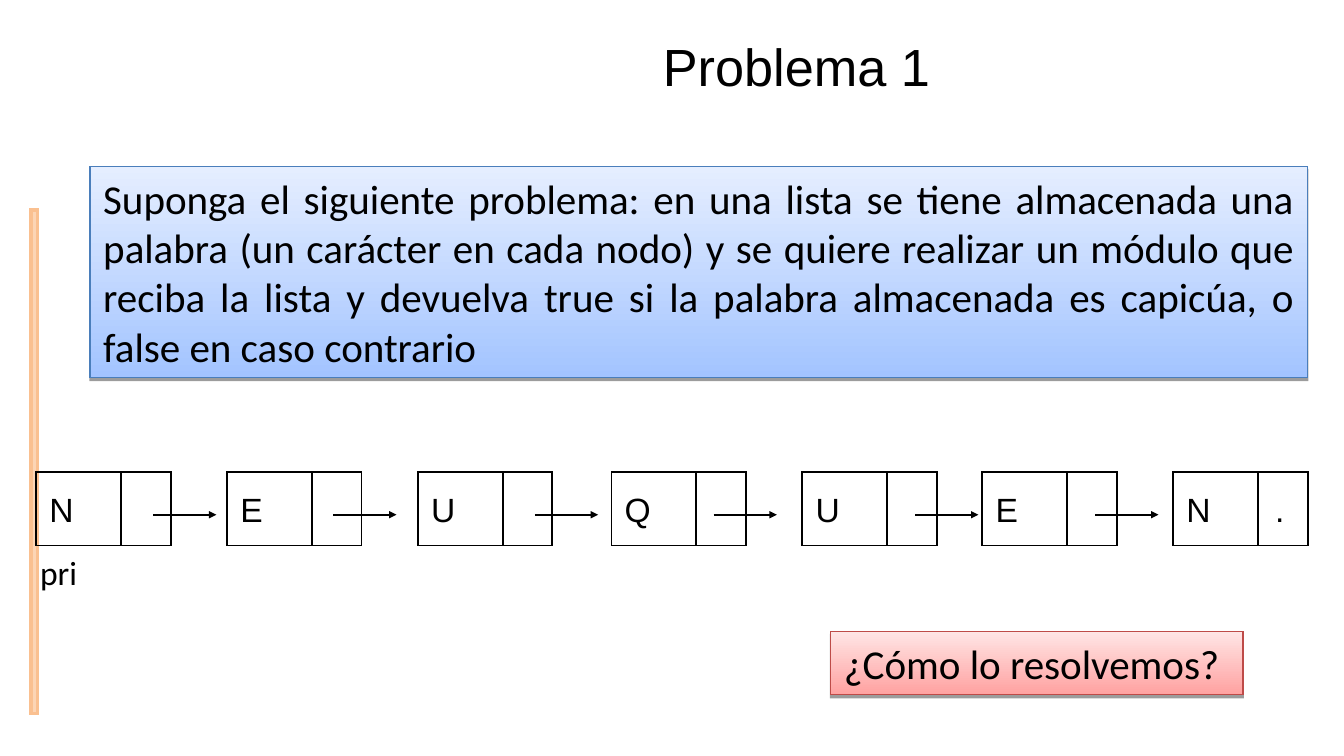
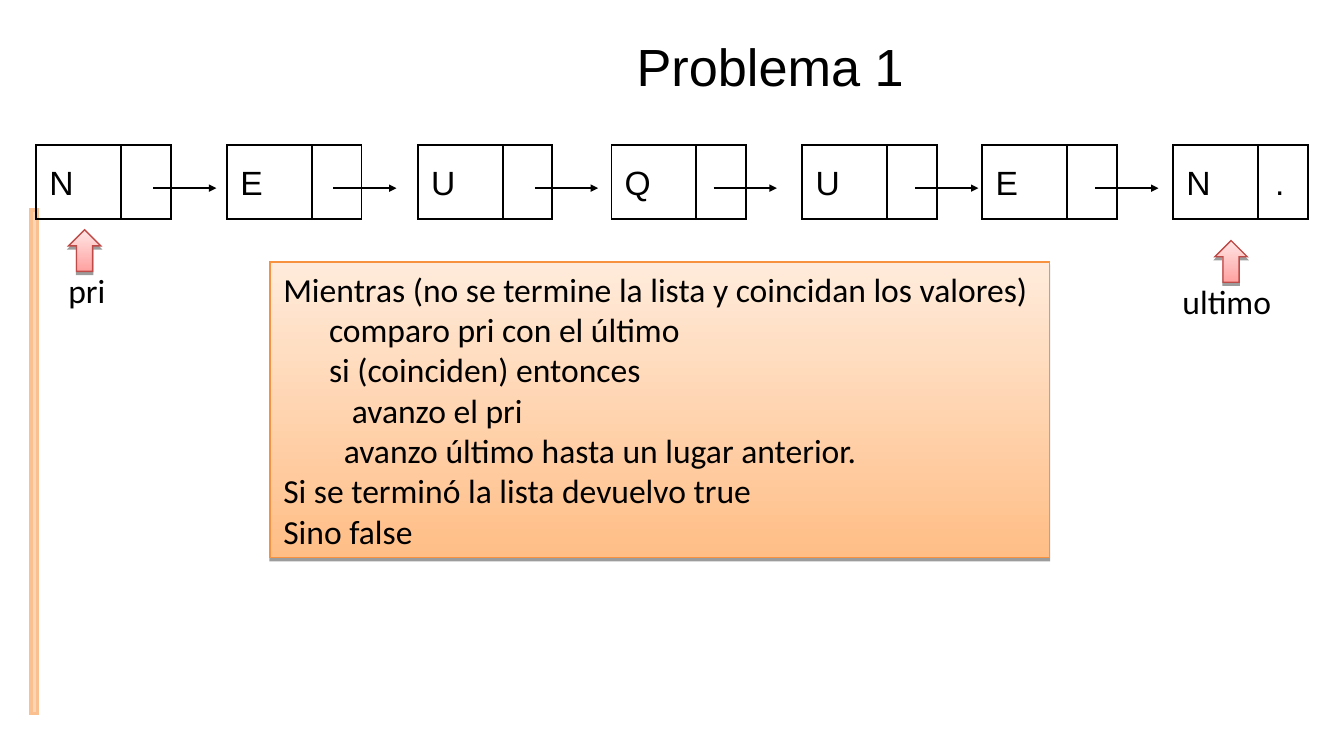
from dataclasses import dataclass
from typing import NamedTuple

from pptx import Presentation
from pptx.dml.color import RGBColor
from pptx.enum.shapes import MSO_CONNECTOR, MSO_SHAPE
from pptx.enum.text import MSO_ANCHOR, PP_ALIGN
from pptx.oxml.ns import qn
from pptx.util import Inches, Pt
from lxml.etree import SubElement

BLACK = RGBColor(0x00, 0x00, 0x00)
BAR_FILL = RGBColor(0xFC, 0xD5, 0xB5)
BAR_LINE = RGBColor(0xFA, 0xC0, 0x90)

NODE_WIDTH, NODE_HEIGHT = 1, 0.55
DIVIDER_OFFSET = 0.63
LINK_OFFSET, LINK_LENGTH = 0.32, 0.47
END_MARK_TAB = 0.66
LABEL_HEIGHT = 0.4
POINTER_WIDTH, POINTER_HEIGHT = 0.24, 0.31


class Palette(NamedTuple):
    bottom: RGBColor
    top: RGBColor
    line: RGBColor


BLUE = Palette(RGBColor(0xA3, 0xC4, 0xFF), RGBColor(0xE5, 0xEE, 0xFF), RGBColor(0x4A, 0x7E, 0xBB))
RED = Palette(RGBColor(0xFF, 0xA2, 0xA1), RGBColor(0xFF, 0xE5, 0xE5), RGBColor(0xBE, 0x4B, 0x48))
ORANGE = Palette(RGBColor(0xFF, 0xBE, 0x86), RGBColor(0xFF, 0xEB, 0xDB), RGBColor(0xF6, 0x92, 0x40))


class Box(NamedTuple):
    left: float
    top: float
    width: float
    height: float

    def inches(self) -> list:
        return [Inches(value) for value in self]


class TextLine(NamedTuple):
    text: str
    indent: float = 0


class Node(NamedTuple):
    letter: str
    left: float


@dataclass(frozen=True)
class Panel:
    box: Box
    lines: list[TextLine]
    palette: Palette
    size: int


@dataclass(frozen=True)
class Pointer:
    label: str
    label_box: Box
    arrow_left: float
    arrow_top: float


NODES = [Node("N", 0.27), Node("E", 1.69), Node("U", 3.11), Node("Q", 4.55),
         Node("U", 5.97), Node("E", 7.31), Node("N\t.", 8.73)]
LINK_LEFTS = [1.14, 2.48, 3.98, 5.31, 6.81, 8.15]

PROBLEM = Panel(Box(0.67, 1.24, 9.06, 1.57), [TextLine(
    "Suponga el siguiente problema: en una lista se tiene almacenada una palabra "
    "(un carácter en cada nodo) y se quiere realizar un módulo que reciba la lista "
    "y devuelva true si la palabra almacenada es capicúa, o false en caso contrario")],
    BLUE, 22)
QUESTION = Panel(Box(6.18, 4.7, 3.07, 0.47), [TextLine("¿Cómo lo resolvemos?")], RED, 22)
ALGORITHM = Panel(Box(2.01, 1.95, 5.8, 2.2), [
    TextLine("Mientras (no se termine la lista y coincidan los valores)"),
    TextLine("comparo pri con el último", 0.34),
    TextLine("si (coinciden) entonces", 0.34),
    TextLine("avanzo el pri", 0.51),
    TextLine("avanzo último hasta un lugar anterior.", 0.45),
    TextLine("Si se terminó la lista devuelvo true"),
    TextLine("Sino false")], ORANGE, 18)
POINTERS = [
    Pointer("pri", Box(0.41, 1.96, 0.63, LABEL_HEIGHT), 0.51, 1.71),
    Pointer("ultimo", Box(8.7, 2.04, 0.94, LABEL_HEIGHT), 9.04, 1.79),
]


def write_text(shape, lines: list[TextLine], *, size: int = 18, font: str = "Calibri",
               align=PP_ALIGN.LEFT, anchor=MSO_ANCHOR.TOP, tab: float = 0) -> None:
    frame = shape.text_frame
    frame.word_wrap = True
    frame.vertical_anchor = anchor
    for index, line in enumerate(lines):
        paragraph = frame.add_paragraph() if index else frame.paragraphs[0]
        paragraph.alignment = align
        properties = paragraph._p.get_or_add_pPr()
        if line.indent:
            properties.set("marL", str(Inches(line.indent)))
        if tab:
            tabs = SubElement(properties, qn("a:tabLst"))
            SubElement(tabs, qn("a:tab"), pos=str(Inches(tab)), algn="l")
        run = paragraph.add_run()
        run.text = line.text
        run.font.size = Pt(size)
        run.font.name = font
        run.font.color.rgb = BLACK


def add_label(shapes, text: str, box: Box, **text_format) -> None:
    write_text(shapes.add_textbox(*box.inches()), [TextLine(text)], **text_format)


def add_outlined(shapes, kind, box: Box, line_color: RGBColor, line_width: float):
    """Add a shape without shadow, outlined with sharp corners."""
    shape = shapes.add_shape(kind, *box.inches())
    shape.shadow.inherit = False
    shape.line.color.rgb = line_color
    shape.line.width = Pt(line_width)
    SubElement(shape.line._get_or_add_ln(), qn("a:miter"), lim="800000")
    return shape


def add_gradient_shape(shapes, kind, box: Box, palette: Palette):
    """Add a shape shaded from bottom to top, with a thin hard shadow below it."""
    shape = add_outlined(shapes, kind, box, palette.line, 0.75)
    shape.fill.gradient()
    shape.fill.gradient_angle = 90
    for stop, color in zip(shape.fill.gradient_stops, (palette.bottom, palette.top)):
        stop.color.rgb = color
    effects = shape._element.spPr.find(qn("a:effectLst"))
    shadow = SubElement(effects, qn("a:outerShdw"), blurRad="0", dist=str(Pt(1.6)),
                        dir="5400000", rotWithShape="0")
    color = SubElement(shadow, qn("a:srgbClr"), val=str(BLACK))
    SubElement(color, qn("a:alpha"), val="38000")
    return shape


def add_panel(slide, panel: Panel) -> None:
    shape = add_gradient_shape(slide.shapes, MSO_SHAPE.RECTANGLE, panel.box, panel.palette)
    write_text(shape, panel.lines, size=panel.size, align=PP_ALIGN.JUSTIFY)


def add_line(shapes, start: tuple[float, float], end: tuple[float, float],
             arrow: bool = False) -> None:
    ends = [Inches(value) for value in (*start, *end)]
    connector = shapes.add_connector(MSO_CONNECTOR.STRAIGHT, *ends)
    connector.line.color.rgb = BLACK
    connector.line.width = Pt(1)
    if arrow:
        SubElement(connector.line._get_or_add_ln(), qn("a:tailEnd"),
                   type="triangle", w="sm", len="sm")
    SubElement(connector._element.spPr, qn("a:effectLst"))


def add_linked_list(slide, top: float) -> None:
    shapes = slide.shapes.add_group_shape().shapes
    for node in NODES:
        box = Box(node.left, top, NODE_WIDTH, NODE_HEIGHT)
        cell = add_outlined(shapes, MSO_SHAPE.RECTANGLE, box, BLACK, 1)
        cell.fill.background()
        write_text(cell, [TextLine(node.letter)], font="Arial", anchor=MSO_ANCHOR.MIDDLE,
                   tab=END_MARK_TAB if "\t" in node.letter else 0)
        divider = node.left + DIVIDER_OFFSET
        add_line(shapes, (divider, top), (divider, top + NODE_HEIGHT))
    link_top = top + LINK_OFFSET
    for left in LINK_LEFTS:
        add_line(shapes, (left, link_top), (left + LINK_LENGTH, link_top), arrow=True)


def add_pointer(slide, pointer: Pointer) -> None:
    shapes = slide.shapes.add_group_shape().shapes
    add_label(shapes, pointer.label, pointer.label_box)
    box = Box(pointer.arrow_left, pointer.arrow_top, POINTER_WIDTH, POINTER_HEIGHT)
    add_gradient_shape(shapes, MSO_SHAPE.UP_ARROW, box, RED)


def add_base_slide(presentation, title_box: Box):
    """Add a blank slide with the side bar and the shared title."""
    slide = presentation.slides.add_slide(presentation.slide_layouts[6])
    bar = add_outlined(slide.shapes, MSO_SHAPE.RECTANGLE, Box(0.23, 1.56, 0.05, 3.75),
                       BAR_LINE, 2)
    bar.fill.solid()
    bar.fill.fore_color.rgb = BAR_FILL
    add_label(slide.shapes, "Problema 1", title_box, size=28, font="Arial",
              align=PP_ALIGN.CENTER, anchor=MSO_ANCHOR.MIDDLE)
    return slide


def build_problem_slide(presentation) -> None:
    slide = add_base_slide(presentation, Box(1.85, 0.05, 8.15, 0.87))
    add_panel(slide, PROBLEM)
    add_label(slide.shapes, "pri", Box(0.2, 4.06, 0.63, LABEL_HEIGHT))
    add_linked_list(slide, 3.51)
    add_panel(slide, QUESTION)


def build_algorithm_slide(presentation) -> None:
    slide = add_base_slide(presentation, Box(1.77, 0.05, 7.92, 0.87))
    add_linked_list(slide, 1.08)
    add_panel(slide, ALGORITHM)
    for pointer in POINTERS:
        add_pointer(slide, pointer)


def main() -> None:
    presentation = Presentation()
    presentation.slide_width = Inches(10)
    presentation.slide_height = presentation.slide_width * 9 // 16
    build_problem_slide(presentation)
    build_algorithm_slide(presentation)
    presentation.save("out.pptx")


if __name__ == "__main__":
    main()
